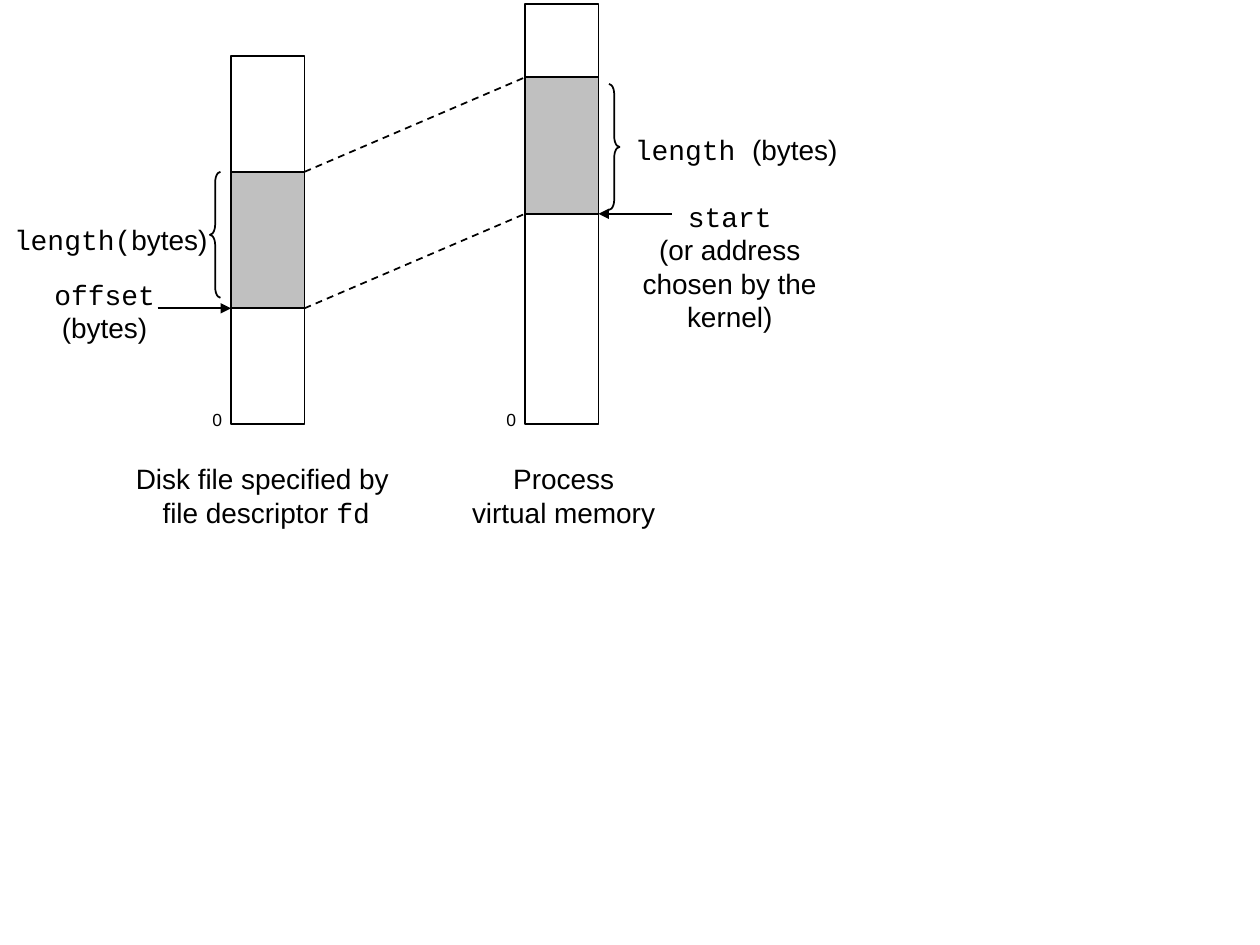
from lxml import etree
from pptx import Presentation
from pptx.dml.color import RGBColor
from pptx.enum.dml import MSO_LINE
from pptx.enum.shapes import MSO_CONNECTOR, MSO_SHAPE
from pptx.enum.text import MSO_ANCHOR, MSO_AUTO_SIZE, PP_ALIGN
from pptx.oxml.ns import qn
from pptx.util import Pt

RECTANGLE = MSO_SHAPE.RECTANGLE
LEFT_BRACE = MSO_SHAPE.LEFT_BRACE
RIGHT_BRACE = MSO_SHAPE.RIGHT_BRACE
STRAIGHT = MSO_CONNECTOR.STRAIGHT
DASH = MSO_LINE.DASH
MIDDLE = MSO_ANCHOR.MIDDLE
CENTER = PP_ALIGN.CENTER
FIT_SHAPE = MSO_AUTO_SIZE.SHAPE_TO_FIT_TEXT

COLORS = {"ink": "000000", "mapped": "C0C0C0"}
SANS, CODE = "Arial", "Courier New"


def color(name):
    return RGBColor.from_string(COLORS[name])


def add_span(para, text, *, font=SANS, size=16, ink="ink"):
    span = para.add_run()
    span.text = text
    span.font.name = font
    span.font.size = Pt(size)
    span.font.color.rgb = color(ink)


class Diagram:
    """Holds the line style and the page being drawn."""

    def __init__(self, page, line_width=1):
        self.page = page
        self.line_width = line_width

    def outline(self, line):
        line.color.rgb = color("ink")
        line.width = Pt(self.line_width)

    def shape(self, kind, left, top, width, height, fill=None):
        shape = self.page.shapes.add_shape(
            kind, Pt(left), Pt(top), Pt(width), Pt(height))
        shape.shadow.inherit = False
        if fill:
            shape.fill.solid()
            shape.fill.fore_color.rgb = color(fill)
        else:
            shape.fill.background()
        self.outline(shape.line)
        return shape

    def column(self, left, top, width, segments):
        """Stack segments downwards; return the y of every boundary."""
        edges = [top]
        for height, fill in segments:
            self.shape(RECTANGLE, left, edges[-1], width, height, fill)
            edges.append(edges[-1] + height)
        return edges

    def brace(self, kind, left, top, width, height):
        brace = self.shape(kind, left, top, width, height)
        brace.adjustments[0] = 1.0

    def line(self, start, end, dashed=False, arrow=False):
        line = self.page.shapes.add_connector(
            STRAIGHT, *(Pt(value) for value in (*start, *end)))
        self.outline(line.line)
        if dashed:
            line.line.dash_style = DASH
        properties = line._element.spPr
        if arrow:
            tail = etree.SubElement(properties.find(qn("a:ln")), qn("a:tailEnd"))
            tail.set("type", "triangle")
        etree.SubElement(properties, qn("a:effectLst"))

    def label(self, left, top, width, height, rows, size=16):
        """Each row is a list of (text, font) pairs."""
        box = self.page.shapes.add_textbox(
            Pt(left), Pt(top), Pt(width), Pt(height))
        frame = box.text_frame
        frame.word_wrap = False
        frame.auto_size = FIT_SHAPE
        frame.vertical_anchor = MIDDLE
        for index, row in enumerate(rows):
            para = frame.add_paragraph() if index else frame.paragraphs[0]
            para.alignment = CENTER
            for text, font in row:
                add_span(para, text, font=font, size=size)


def main():
    deck = Presentation()
    deck.slide_width, deck.slide_height = Pt(720), Pt(540)
    diagram = Diagram(deck.slides.add_slide(deck.slide_layouts[6]))

    # Disk file and process memory, each with its mapped region
    file_left, memory_left, width = 132, 300, 42
    file_right, memory_right = file_left + width, memory_left + width
    mapped = (78, "mapped")
    file_edges = diagram.column(
        file_left, 32.2, width, [(66, None), mapped, (66, None)])
    memory_edges = diagram.column(
        memory_left, 2.2, width, [(42, None), mapped, (120, None)])

    # Dashed lines tying the two mapped regions together
    for file_y, memory_y in zip(file_edges[1:3], memory_edges[1:3]):
        diagram.line((file_right, file_y), (memory_left, memory_y), dashed=True)

    # Arrows to the start of each region
    file_start, memory_start = file_edges[2], memory_edges[2]
    diagram.line((file_left - 42, file_start), (file_left, file_start), arrow=True)
    diagram.line((memory_right + 42, memory_start),
                 (memory_right, memory_start), arrow=True)

    # Length braces
    diagram.brace(LEFT_BRACE, file_left - 12, file_edges[1], 6, 72)
    diagram.brace(RIGHT_BRACE, memory_right + 6, 48, 6, 72)

    # Region labels
    diagram.label(0, 123.4, 126.6, 26.6, [[("length(", CODE), ("bytes)", SANS)]])
    diagram.label(23.8, 154.5, 72, 46, [[("offset", CODE)], [("(bytes)", SANS)]])
    diagram.label(355.5, 72, 130.3, 26.6, [[("length ", CODE), ("(bytes)", SANS)]])
    diagram.label(360, 110, 114, 84.4, [
        [("start", CODE)], [("(or address", SANS)],
        [("chosen by the", SANS)], [("kernel)", SANS)]])

    # Origins
    for left in (file_left, memory_left):
        diagram.label(left - 17.7, 230, 19.4, 19.4, [[("0", SANS)]], size=10)

    # Captions
    diagram.label(70.4, 260, 163.5, 46, [
        [("Disk file specified by ", SANS)],
        [("file descriptor ", SANS), ("fd", CODE)]])
    diagram.label(262.6, 260, 119, 46, [
        [("Process", SANS)], [("virtual memory", SANS)]])

    deck.save("out.pptx")


if __name__ == "__main__":
    main()
